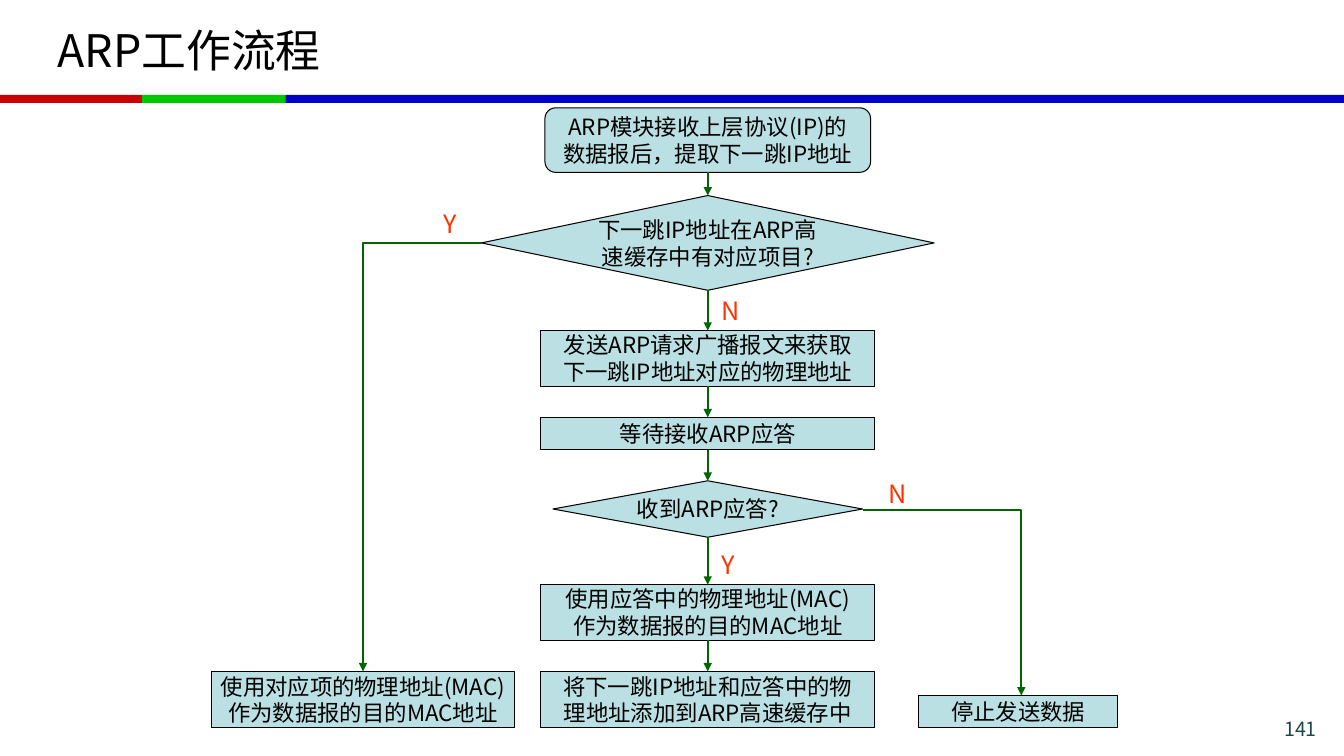
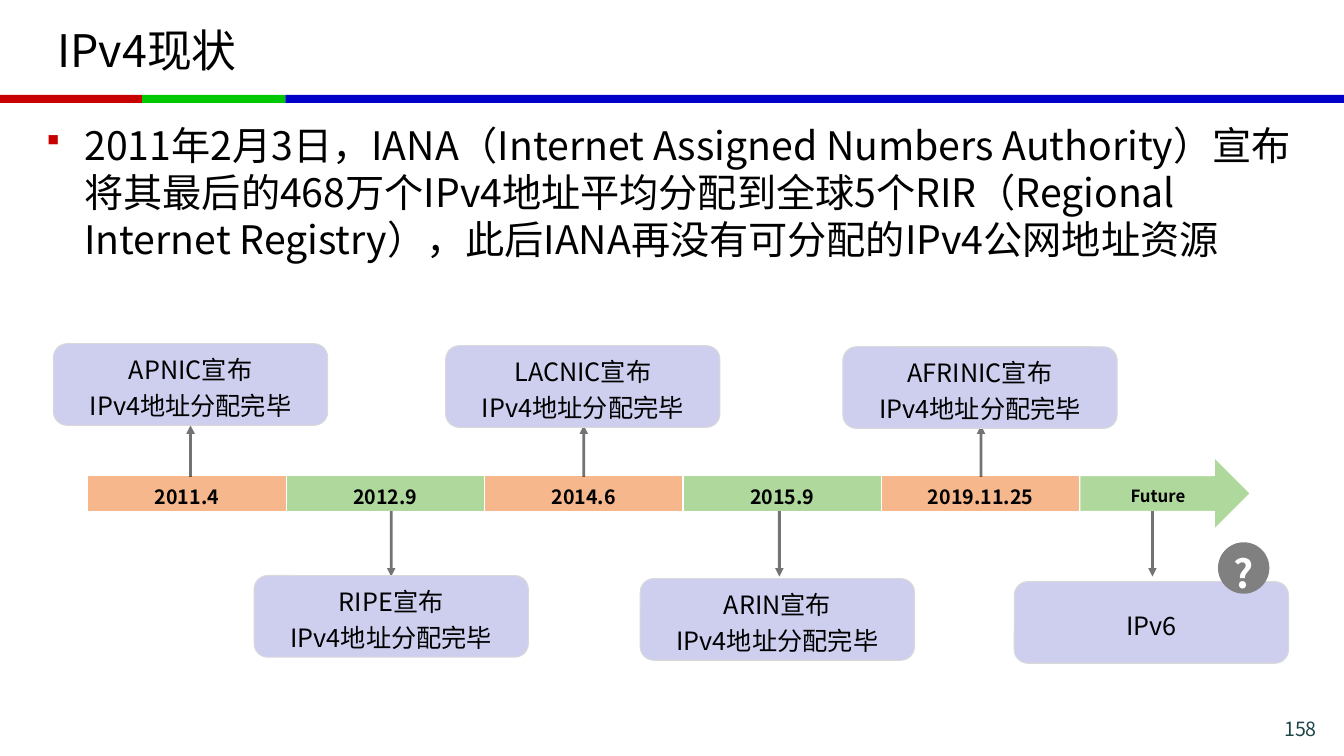
from dataclasses import dataclass

from lxml.etree import SubElement
from pptx import Presentation
from pptx.dml.color import RGBColor
from pptx.enum.shapes import MSO_CONNECTOR, MSO_SHAPE
from pptx.enum.text import MSO_ANCHOR, PP_ALIGN
from pptx.oxml.ns import qn
from pptx.util import Inches, Pt


@dataclass(frozen=True)
class Theme:
    font: str = "Noto Sans CJK SC"
    black: str = "000000"
    white: str = "FFFFFF"
    red: str = "C80000"
    green: str = "00C800"
    blue: str = "0000C8"
    page: str = "1E4649"
    node: str = "BBE0E3"
    flow: str = "006600"
    answer: str = "FF3300"
    card: str = "CECEEF"
    card_line: str = "D9D9D9"
    orange: str = "F6B78C"
    lime: str = "AFD89C"
    gray: str = "808080"
    title_size: int = 32
    body_size: int = 28
    label_size: int = 18
    node_size: int = 16
    small_size: int = 14
    tiny_size: int = 12


theme = Theme()


def put(s, text, left, top, width, height, kind=None, fill=None, line=None,
        size=theme.label_size, color=theme.black, bold=False, align=PP_ALIGN.CENTER,
        anchor=MSO_ANCHOR.MIDDLE, wrap=False, spacing=None, inset=None, bullet=None):
    box = [Inches(v) for v in (left, top, width, height)]
    if kind is None:
        sp = s.shapes.add_textbox(*box)
    else:
        sp = s.shapes.add_shape(kind, *box)
        sp.shadow.inherit = False
        sp.fill.solid()
        sp.fill.fore_color.rgb = RGBColor.from_string(fill)
        if line:
            sp.line.color.rgb = RGBColor.from_string(line)
            sp.line.width = Pt(0.75)
        else:
            sp.line.fill.background()
    tf = sp.text_frame
    tf.word_wrap = wrap
    tf.vertical_anchor = anchor
    if inset is not None:
        tf.margin_left = tf.margin_right = tf.margin_top = tf.margin_bottom = Inches(inset)
    for i, row in enumerate(text.split("\n") if text else []):
        p = tf.add_paragraph() if i else tf.paragraphs[0]
        p.alignment = align
        if spacing:
            p.line_spacing = spacing
        if bullet:
            pPr = p._p.get_or_add_pPr()
            pPr.set("marL", str(Inches(0.38)))
            pPr.set("indent", str(-Inches(0.38)))
            SubElement(SubElement(pPr, qn("a:buClr")), qn("a:srgbClr"), val=theme.red)
            SubElement(pPr, qn("a:buSzPct"), val="80000")
            SubElement(pPr, qn("a:buFont"), typeface="Wingdings", charset="2")
            SubElement(pPr, qn("a:buChar"), char=bullet)
        r = p.add_run()
        r.text = row
        r.font.size = Pt(size)
        r.font.bold = bold
        r.font.color.rgb = RGBColor.from_string(color)
        r.font.name = theme.font
        SubElement(r._r.get_or_add_rPr(), qn("a:ea"), typeface=theme.font)
    return sp


def arrow(s, points, color, width, alpha=None):
    points = [(Inches(x), Inches(y)) for x, y in points]
    if len(points) == 2:
        sp = s.shapes.add_connector(MSO_CONNECTOR.STRAIGHT, *points[0], *points[1])
    else:
        path = s.shapes.build_freeform(*points[0])
        path.add_line_segments(points[1:], close=False)
        sp = path.convert_to_shape()
        sp.fill.background()
    sp.line.color.rgb = RGBColor.from_string(color)
    sp.line.width = Pt(width)
    spPr = sp._element.spPr
    ln = spPr.find(qn("a:ln"))
    if alpha:
        SubElement(ln.find(".//" + qn("a:srgbClr")), qn("a:alpha"), val=str(alpha * 1000))
    SubElement(ln, qn("a:tailEnd"), type="triangle")
    SubElement(spPr, qn("a:effectLst"))


prs = Presentation()
prs.slide_width = Inches(13.33)
prs.slide_height = Inches(7.5)

slides = []
for title, number in (("ARP工作流程", "141"), ("IPv4现状", "158")):
    s = prs.slides.add_slide(prs.slide_layouts[6])
    for left, width, color in ((0, 1.41, theme.red), (1.41, 1.42, theme.green),
                               (2.83, 10.5, theme.blue)):
        put(s, "", left, 0.94, width, 0.08, kind=MSO_SHAPE.RECTANGLE, fill=color)
    put(s, title, 0.47, 0.07, 12.39, 0.84, size=theme.title_size,
        align=PP_ALIGN.LEFT, wrap=True)
    put(s, number, 11.86, 7.06, 1.3, 0.28, size=theme.small_size, color=theme.page,
        align=PP_ALIGN.RIGHT, anchor=MSO_ANCHOR.TOP, wrap=True)
    slides.append(s)
flow_slide, status_slide = slides

RECT, ROUND, DIAMOND = MSO_SHAPE.RECTANGLE, MSO_SHAPE.ROUNDED_RECTANGLE, MSO_SHAPE.DIAMOND
axis, hit_x, stop_x = 7.02, 3.6, 10.1
main_nodes = [
    (ROUND, axis, 1.07, 3.23, 0.64, "ARP模块接收上层协议(IP)的\n数据报后，提取下一跳IP地址"),
    (DIAMOND, axis, 1.94, 4.49, 0.94, "下一跳IP地址在ARP高\n速缓存中有对应项目?"),
    (RECT, axis, 3.28, 3.31, 0.55, "发送ARP请求广播报文来获取\n下一跳IP地址对应的物理地址"),
    (RECT, axis, 4.14, 3.31, 0.32, "等待接收ARP应答"),
    (DIAMOND, axis, 4.77, 3.07, 0.56, "收到ARP应答?"),
    (RECT, axis, 5.8, 3.31, 0.55, "使用应答中的物理地址(MAC)\n作为数据报的目的MAC地址"),
    (RECT, axis, 6.66, 3.31, 0.56, "将下一跳IP地址和应答中的物\n理地址添加到ARP高速缓存中"),
]
side_nodes = [
    (RECT, stop_x, 6.9, 1.97, 0.32, "停止发送数据"),
    (RECT, hit_x, 6.66, 3, 0.56, "使用对应项的物理地址(MAC)\n作为数据报的目的MAC地址"),
]
for kind, center, top, width, height, text in main_nodes + side_nodes:
    put(flow_slide, text, center - width / 2, top, width, height, kind=kind,
        fill=theme.node, line=theme.black, size=theme.node_size)

routes = [[(axis, upper[2] + upper[4]), (axis, lower[2])]
          for upper, lower in zip(main_nodes, main_nodes[1:])]
routes.append([(8.56, 5.06), (10.13, 5.06), (10.13, 6.9)])
routes.append([(4.78, 2.41), (hit_x, 2.41), (hit_x, 6.66)])
for points in routes:
    arrow(flow_slide, points, theme.flow, 1.5)

for text, left, top in (("N", 7.06, 2.88), ("N", 8.71, 4.7), ("Y", 7.06, 5.4), ("Y", 4.3, 2.02)):
    put(flow_slide, text, left, top, 0.37, 0.4, color=theme.answer,
        align=PP_ALIGN.LEFT, anchor=MSO_ANCHOR.TOP)

put(status_slide,
    "2011年2月3日，IANA（Internet Assigned Numbers Authority）宣布将其最后的468万个"
    "IPv4地址平均分配到全球5个RIR（Regional Internet Registry），此后IANA再没有可分配的"
    "IPv4公网地址资源",
    0.36, 1.15, 12.7, 2.28, size=theme.body_size, align=PP_ALIGN.LEFT,
    anchor=MSO_ANCHOR.TOP, wrap=True, bullet="§")

milestones = [
    ("2011.4", "APNIC", 0.53, 3.41, 1.89),
    ("2012.9", "RIPE", 2.52, 5.71, 3.88),
    ("2014.6", "LACNIC", 4.42, 3.43, 5.79),
    ("2015.9", "ARIN", 6.35, 5.74, 7.73),
    ("2019.11.25", "AFRINIC", 8.36, 3.44, 9.73),
    ("Future", "IPv6", 10.06, 5.77, 11.43),
]
bar_left, bar_top, bar_height = 0.87, 4.72, 0.36
arrow_left = 10.71
bar_width = (arrow_left - bar_left) / (len(milestones) - 1)
card_width, card_height = 2.72, 0.81
for i, (date, name, card_left, card_top, x) in enumerate(milestones):
    left = bar_left + i * bar_width
    color = theme.lime if i % 2 else theme.orange
    if date == "Future":
        put(status_slide, "", arrow_left, 4.54, 1.69, 0.71, kind=MSO_SHAPE.RIGHT_ARROW,
            fill=color, line=theme.white)
        put(status_slide, date, 10.77, bar_top, 1.43, bar_height,
            size=theme.tiny_size, bold=True, spacing=1.2)
        text = name
    else:
        put(status_slide, date, left, bar_top, bar_width, bar_height, kind=RECT,
            fill=color, line=theme.white, size=theme.small_size, bold=True, spacing=1.2)
        text = name + "宣布\nIPv4地址分配完毕"
    ends = [(x, 4.73), (x, 4.22)] if card_top < bar_top else [(x, 5.07), (x, 5.72)]
    arrow(status_slide, ends, theme.black, 2, alpha=55)
    put(status_slide, text, card_left, card_top, card_width, card_height, kind=ROUND,
        fill=theme.card, line=theme.card_line, wrap=True, spacing=1.2)

put(status_slide, "?", 12.08, 5.38, 0.51, 0.51, kind=MSO_SHAPE.OVAL, fill=theme.gray,
    size=theme.body_size, color=theme.white, bold=True, spacing=1.2, inset=0)

prs.save("out.pptx")
